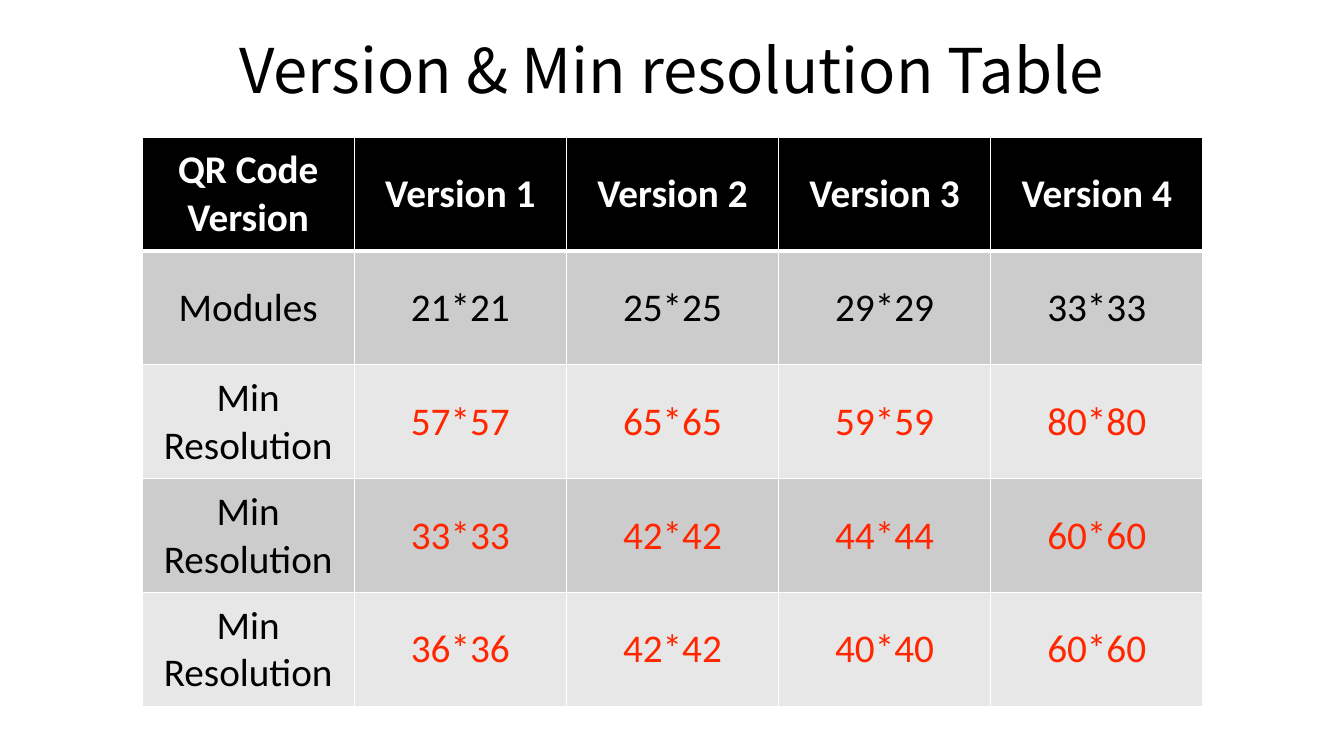
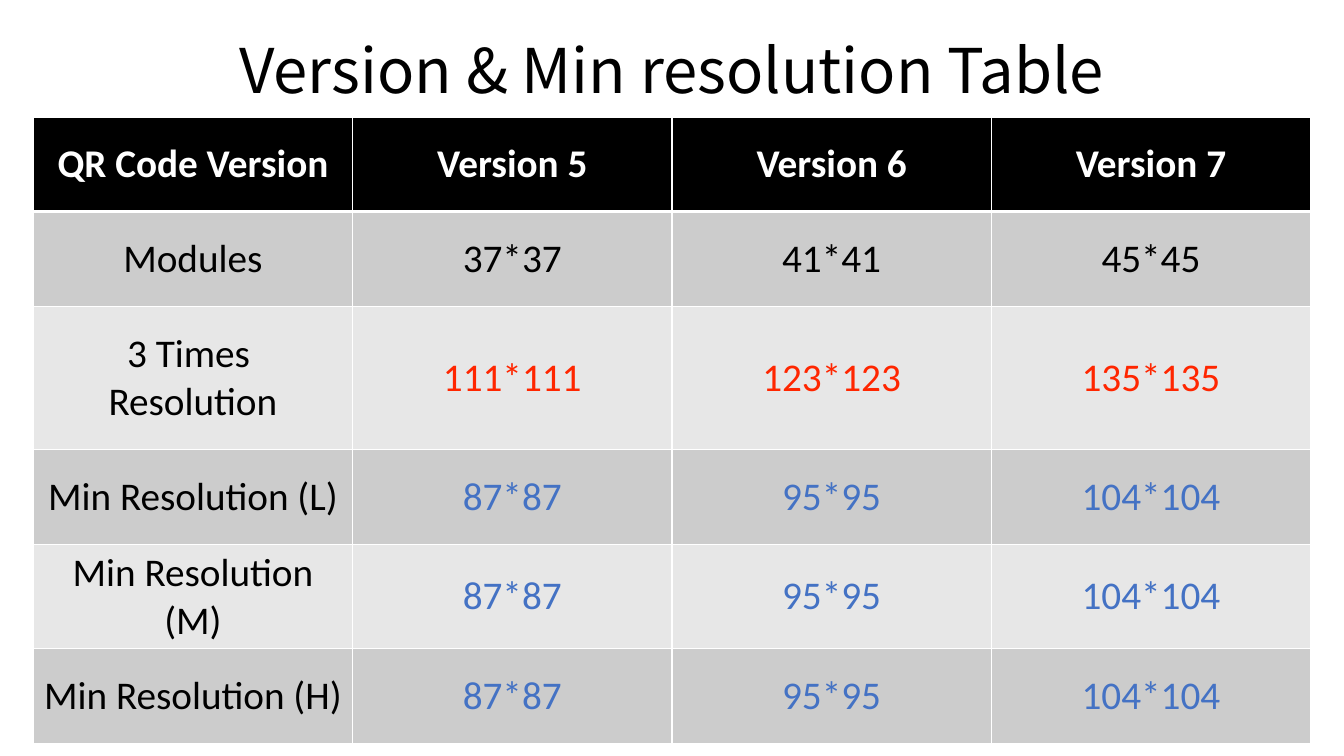
from dataclasses import dataclass

from lxml.etree import SubElement
from pptx import Presentation
from pptx.dml.color import RGBColor
from pptx.enum.text import MSO_ANCHOR, PP_ALIGN
from pptx.oxml.ns import qn
from pptx.util import Inches, Pt


@dataclass(frozen=True)
class Theme:
    black: str = "000000"
    white: str = "FFFFFF"
    red: str = "FF2600"
    blue: str = "4472C4"
    bands: tuple = ("E7E7E7", "CCCCCC")
    head_font: str = "Noto Sans CJK TC"
    body_font: str = "Calibri"
    head_size: int = 44
    body_size: int = 28
    rule: int = 1
    thick: int = 3


THEME = Theme()
TITLE = "Version & Min resolution Table"

LOW_ROWS = [
    ("QR Code Version", "Version 1", "Version 2", "Version 3", "Version 4"),
    ("Modules", "21*21", "25*25", "29*29", "33*33"),
    ("Min Resolution", "57*57", "65*65", "59*59", "80*80"),
    ("Min Resolution", "33*33", "42*42", "44*44", "60*60"),
    ("Min Resolution", "36*36", "42*42", "40*40", "60*60"),
]
MIN_HIGH = ("87*87", "95*95", "104*104")
HIGH_ROWS = [
    ("QR Code Version", "Version 5", "Version 6", "Version 7"),
    ("Modules", "37*37", "41*41", "45*45"),
    ("3 Times \nResolution", "111*111", "123*123", "135*135"),
    *((f"Min Resolution ({level})", *MIN_HIGH) for level in "LMH"),
]


def write(frame, text, color, **font):
    """Fill a text frame with centred paragraphs, one per line of text."""
    frame.text = text
    for para in frame.paragraphs:
        para.alignment = PP_ALIGN.CENTER
        for run in para.runs:
            for name, value in font.items():
                setattr(run.font, name, value)
            run.font.color.rgb = RGBColor.from_string(color)


def add_title(slide, text):
    box = slide.shapes.add_textbox(Inches(0.25), 0, Inches(12.83), Inches(1.45))
    frame = box.text_frame
    frame.word_wrap = True
    frame.vertical_anchor = MSO_ANCHOR.MIDDLE
    write(frame, text, THEME.black, name=THEME.head_font, size=Pt(THEME.head_size))
    frame.paragraphs[0].line_spacing = 0.9


def set_edges(cell, top, bottom):
    """Draw the cell borders, which must come before the fill in the XML."""
    props = cell._tc.get_or_add_tcPr()
    widths = {"lnL": THEME.rule, "lnR": THEME.rule, "lnT": top, "lnB": bottom}
    for place, (tag, width) in enumerate(widths.items()):
        line = SubElement(props, qn(f"a:{tag}"), w=str(Pt(width)))
        paint = SubElement(line, qn("a:solidFill"))
        SubElement(paint, qn("a:srgbClr"), val=THEME.white)
        props.insert(place, line)


def style_cell(cell, text, row, color):
    head = row == 0
    fill = THEME.black if head else THEME.bands[row % 2]
    cell.vertical_anchor = MSO_ANCHOR.MIDDLE
    cell.fill.solid()
    cell.fill.fore_color.rgb = RGBColor.from_string(fill)
    set_edges(
        cell,
        top=THEME.thick if row == 1 else THEME.rule,
        bottom=THEME.thick if head else THEME.rule,
    )
    write(cell.text_frame, text, color, name=THEME.body_font,
          size=Pt(THEME.body_size), bold=head)


def add_grid(slide, rows, left, top, width, heights, colors):
    """Add a table; colors holds the value colour of each row."""
    count = len(rows[0])
    table = slide.shapes.add_table(
        len(rows), count, Inches(left), Inches(top),
        Inches(width), Inches(sum(heights)),
    ).table
    for row, (texts, height, color) in enumerate(zip(rows, heights, colors)):
        table.rows[row].height = Inches(height)
        for col, text in enumerate(texts):
            label = col == 0 and row > 0
            style_cell(table.cell(row, col), text, row,
                       THEME.black if label else color)


def main():
    deck = Presentation()
    deck.slide_width, deck.slide_height = Inches(13.33), Inches(7.5)
    base = [THEME.white, THEME.black, THEME.red]
    grids = [
        dict(rows=LOW_ROWS, left=1.41, top=1.36, width=10.52,
             heights=[1.13] * 5, colors=base + [THEME.red] * 2),
        dict(rows=HIGH_ROWS, left=0.33, top=1.16, width=12.67,
             heights=[0.94] * 2 + [1.42] + [0.94] * 3,
             colors=base + [THEME.blue] * 3),
    ]
    for grid in grids:
        slide = deck.slides.add_slide(deck.slide_layouts[6])
        add_title(slide, TITLE)
        add_grid(slide, **grid)
    deck.save("out.pptx")


if __name__ == "__main__":
    main()
